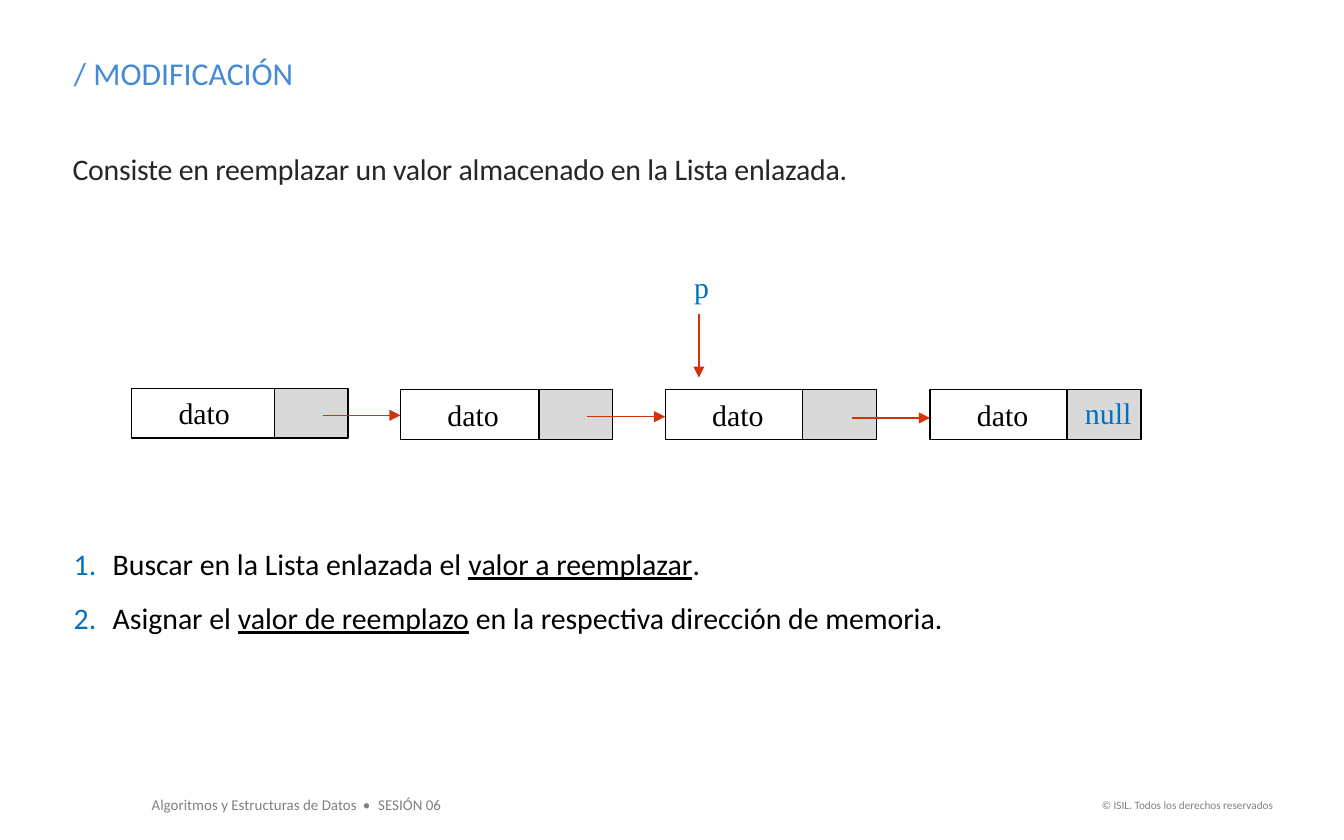
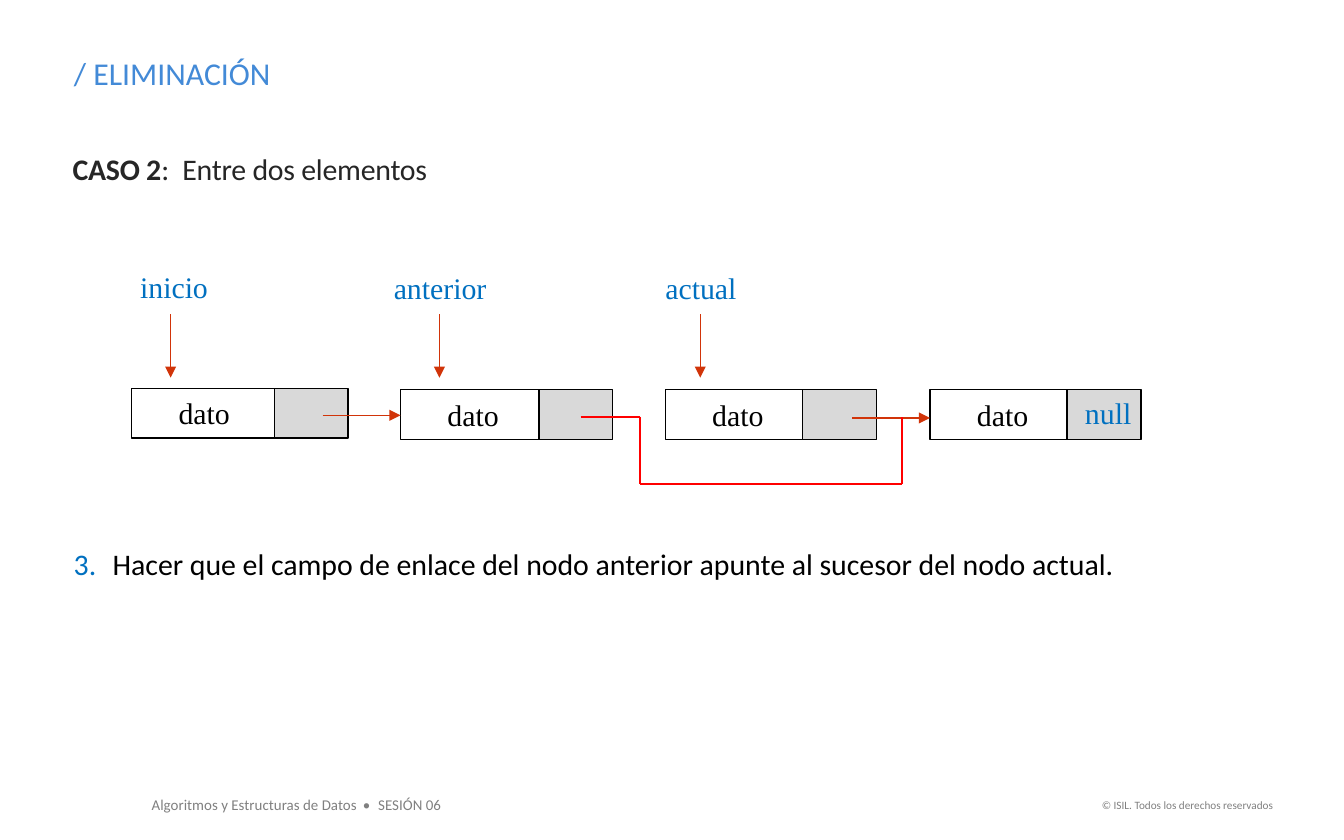
from lxml.etree import SubElement as Sub
from pptx import Presentation
from pptx.dml.color import RGBColor as RGB
from pptx.enum.shapes import MSO_CONNECTOR as LINK, MSO_SHAPE as SHAPE
from pptx.enum.text import MSO_ANCHOR as ANCHOR, MSO_AUTO_SIZE as FIT, PP_ALIGN as ALIGN
from pptx.oxml.ns import qn
from pptx.util import Pt

PX = 9144  # 100 px to the inch
HEX = {
    "title": "438AD7", "intro": "262626", "ink": "000000", "foot": "808080",
    "mark": "0070C0", "cell": "D9D9D9", "link": "D13409", "detour": "FF0000",
}
SERIF = "Times New Roman"


def write(shape, at, *paras, size=16, font="Calibri", color="ink", align=ALIGN.LEFT,
          inset=None, wrap=True, line=None, spc=None, first=None):
    """Place a shape and fill it; a paragraph is a string or a list of
    (text, format) runs, and is numbered if first is given."""
    shape.left, shape.top, shape.width, shape.height = (n * PX for n in at)
    frame = shape.text_frame
    frame.word_wrap = wrap
    frame.auto_size = FIT.SHAPE_TO_FIT_TEXT
    frame.vertical_anchor = ANCHOR.TOP
    if inset is not None:
        frame.margin_left = frame.margin_right = inset * PX
        frame.margin_top = frame.margin_bottom = inset * PX
    for i, runs in enumerate(paras):
        para = frame.add_paragraph() if i else frame.paragraphs[0]
        if first:
            props = para._p.get_or_add_pPr()
            props.set("marL", str(29 * PX))
            props.set("indent", str(-29 * PX))
            tint = Sub(props, qn("a:buClr"))
            Sub(tint, qn("a:srgbClr"), val=HEX["mark"])
            Sub(props, qn("a:buAutoNum"), type="arabicPeriod", startAt=str(first))
        para.alignment = align
        if line:
            para.line_spacing = line
        for words, style in [(runs, {})] if isinstance(runs, str) else runs:
            run = para.add_run()
            run.text = words
            run.font.name = font
            run.font.size = Pt(size)
            run.font.color.rgb = RGB.from_string(HEX[color])
            run.font.bold = style.get("bold", False)
            run.font.underline = style.get("under", False)
            gap = style.get("spc", spc)
            if gap is not None:
                run._r.get_or_add_rPr().set("spc", str(gap))


def join(slide, start, end, color="link", width=0.75, arrow=True):
    ends = (n * PX for n in (*start, *end))
    link = slide.shapes.add_connector(LINK.STRAIGHT, *ends)
    link.line.color.rgb = RGB.from_string(HEX[color])
    link.line.width = Pt(width)
    if arrow:
        Sub(link.line._get_or_add_ln(), qn("a:tailEnd"), type="triangle")
    Sub(link._element.spPr, qn("a:effectLst"))


under = {"under": True}
# left and top of each node, and left of its link cell
nodes = [(98, 289, 204), (298, 290, 401), (495, 290, 597), (692, 290, 794)]
pages = [
    {
        "title": "/ MODIFICACIÓN",
        "intro": "Consiste en reemplazar un valor almacenado en la Lista enlazada.",
        "wide": 740,
        # word, left, top, width, arrow position
        "marks": [("p", 494, 195, 56, 520)],
        "links": [1, 2, 3],
        "detour": [],
        "first": 1,
        "box": (45, 388, 845, 91),
        "steps": [
            [("Buscar en la Lista enlazada el ", {}), ("valor a reemplazar", under), (".", {})],
            [("Asignar el ", {}), ("valor de reemplazo", under),
             (" en la respectiva dirección de memoria.", {})],
        ],
    },
    {
        "title": "/ ELIMINACIÓN",
        "intro": [("CASO 2", {"bold": True}), (": ", {"spc": 170}),
                  ("Entre dos elementos", {})],
        "wide": 837,
        "marks": [("inicio", 87, 195, 85, 127), ("anterior", 280, 196, 95, 327),
                  ("actual", 479, 196, 85, 521)],
        "links": [1, 3],
        "detour": [(432, 310), (476, 310), (476, 360), (671, 360), (671, 310)],
        "first": 3,
        "box": (45, 388, 870, 46),
        "steps": ["Hacer que el campo de enlace del nodo anterior apunte al sucesor "
                  "del nodo actual."],
    },
]

deck = Presentation()
deck.slide_width, deck.slide_height = 1000 * PX, 625 * PX
layout = deck.slide_layouts[5]
for holder in list(layout.placeholders)[1:]:
    holder._element.getparent().remove(holder._element)

for num, page in enumerate(pages):
    slide = deck.slides.add_slide(layout)
    shapes = slide.shapes

    # The footers are drawn once and moved to the layout
    if num == 0:
        course = shapes.add_textbox(0, 0, 0, 0)
        write(course, (103, 587, 241, 24),
              [("Algoritmos y Estructuras de Datos", {}), (" • ", {"spc": 120}),
               ("SESIÓN 06", {})], size=8, color="foot", wrap=False)
        rights = shapes.add_textbox(0, 0, 0, 0)
        write(rights, (807, 589, 150, 20), "© ISIL. Todos los derechos reservados",
              size=6, color="foot", align=ALIGN.RIGHT, wrap=False)
        for foot in (course, rights):
            layout.shapes._spTree.append(foot._element)

    write(shapes.title, (45, 35, 788, 39), page["title"], size=17, color="title")
    write(shapes.add_textbox(0, 0, 0, 0), (54, 99, page["wide"], 40), page["intro"],
          color="intro", inset=0, line=1.5, spc=-10)

    for i, (left, top, cell) in enumerate(nodes):
        for x, width, fill in ((left, 108, None), (cell, 55, "cell")):
            box = shapes.add_shape(SHAPE.RECTANGLE, x * PX, top * PX, width * PX, 37 * PX)
            box.shadow.inherit = False
            box.line.color.rgb = RGB.from_string(HEX["ink"])
            box.line.width = Pt(0.75)
            if fill:
                box.fill.solid()
                box.fill.fore_color.rgb = RGB.from_string(HEX[fill])
            else:
                box.fill.background()
                write(box, (x, top, width, 37), "dato", font=SERIF, align=ALIGN.CENTER)
        if i in page["links"]:
            join(slide, (left - 58, 308 + i), (left, 308 + i))

    words = page["marks"] + [("null", 794, 289, 61, None)]
    for word, left, top, width, x in words:
        write(shapes.add_textbox(0, 0, 0, 0), (left, top, width, 37), word,
              font=SERIF, color="mark", align=ALIGN.CENTER)
        if x:
            join(slide, (x, 234), (x, 281))

    for start, end in zip(page["detour"], page["detour"][1:]):
        join(slide, start, end, color="detour", width=1, arrow=False)

    write(shapes.add_textbox(0, 0, 0, 0), page["box"], *page["steps"],
          line=1.5, first=page["first"])

deck.save("out.pptx")
